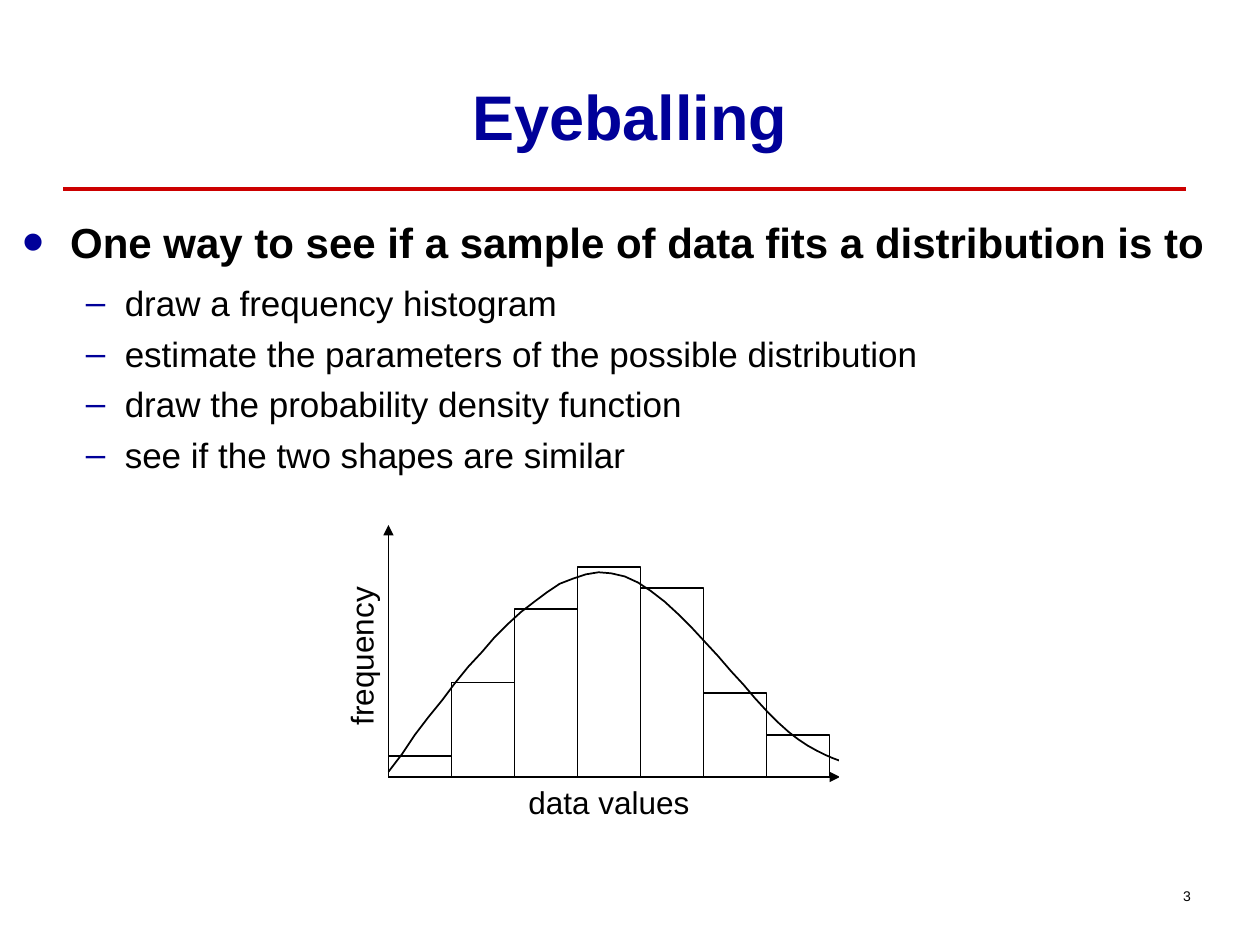
import pptx
import pptx.dml.color
import pptx.enum.shapes
import pptx.enum.text
import pptx.oxml.ns
import pptx.util
import lxml.etree

PX = 7620  # EMU per px, 120 px to the inch
FONT = "Arial"
BLACK, WHITE, NAVY, RED = "000000", "FFFFFF", "000099", "CC0000"
ALIGN = pptx.enum.text.PP_ALIGN
ANCHOR = pptx.enum.text.MSO_ANCHOR


def emu(*lengths):
    return [pptx.util.Emu(length * PX) for length in lengths]


def rgb(color):
    return pptx.dml.color.RGBColor.from_string(color)


def add_xml(parent, tag, **attributes):
    return lxml.etree.SubElement(parent, pptx.oxml.ns.qn(tag), attributes)


def write(paragraph, text, size=18, color=BLACK, bold=False, align=ALIGN.LEFT,
          before=0, after=0):
    paragraph.alignment = align
    paragraph.space_before = pptx.util.Pt(before)
    paragraph.space_after = pptx.util.Pt(after)
    run = paragraph.add_run()
    run.text = text
    run.font.name = FONT
    run.font.size = pptx.util.Pt(size)
    run.font.bold = bold
    run.font.color.rgb = rgb(color)


def text_frame(slide, box, anchor=ANCHOR.TOP, rotation=0):
    shape = slide.shapes.add_textbox(*emu(*box))
    shape.rotation = rotation
    shape.text_frame.word_wrap = True
    shape.text_frame.vertical_anchor = anchor
    return shape.text_frame


def add_line(slide, start, end, color=BLACK, width=1, arrow=False):
    line = slide.shapes.add_connector(
        pptx.enum.shapes.MSO_CONNECTOR.STRAIGHT, *emu(*start, *end))
    line.line.color.rgb = rgb(color)
    line.line.width = pptx.util.Pt(width)
    if arrow:
        add_xml(line.line._get_or_add_ln(), "a:tailEnd", type="triangle")
    add_xml(line._element.spPr, "a:effectLst")


def outline(shape, color=BLACK, fill=None):
    shape.shadow.inherit = False
    shape.line.color.rgb = rgb(color)
    shape.line.width = pptx.util.Pt(1)
    if fill:
        shape.fill.solid()
        shape.fill.fore_color.rgb = rgb(fill)
    else:
        shape.fill.background()


def add_rect(slide, box, **colors):
    rect = slide.shapes.add_shape(
        pptx.enum.shapes.MSO_SHAPE.RECTANGLE, *emu(*box))
    outline(rect, **colors)


def set_bullet(paragraph, char, margin, hang, percent=100):
    properties = paragraph._p.get_or_add_pPr()
    properties.set("marL", str(margin * PX))
    properties.set("indent", str(-hang * PX))
    add_xml(add_xml(properties, "a:buClr"), "a:srgbClr", val=NAVY)
    add_xml(properties, "a:buSzPct", val=str(percent * 1000))
    add_xml(properties, "a:buFont", typeface=FONT)
    add_xml(properties, "a:buChar", char=char)


def title_region(slide, box):
    x, y, width, height = box
    add_line(slide, (x - 30, y + 150), (x + 1040, y + 150), color=RED, width=2)
    frame = text_frame(slide, box, anchor=ANCHOR.MIDDLE)
    write(frame.paragraphs[0], "Eyeballing", size=36, color=NAVY, bold=True,
          align=ALIGN.CENTER)


def steps_region(slide, box, lead, steps):
    frame = text_frame(slide, box)
    first = frame.paragraphs[0]
    set_bullet(first, "•", 45, 45, percent=150)
    write(first, lead, size=24, bold=True, after=6)
    for step in steps:
        paragraph = frame.add_paragraph()
        paragraph.level = 1
        set_bullet(paragraph, "–", 97, 37)
        write(paragraph, step, size=20, before=2.5, after=2.5)


def bezier(p0, p1, p2, p3, count=16):
    for i in range(1, count + 1):
        t = i / count
        u = 1 - t
        yield tuple(u**3 * a + 3 * u * u * t * b + 3 * u * t * t * c + t**3 * d
                    for a, b, c, d in zip(p0, p1, p2, p3))


def histogram_region(slide, box):
    x, y, width, height = box
    base = y + height

    # Axes
    add_line(slide, (x, base), (x, y), arrow=True)
    add_line(slide, (x, base), (x + width, base), arrow=True)

    # Bars
    bar_width = 60
    frequencies = [20, 90, 160, 200, 180, 80, 40]
    for i, frequency in enumerate(frequencies):
        add_rect(slide, (x + i * bar_width, base - frequency,
                         bar_width, frequency))

    # Axis labels
    label_height = 48
    span = bar_width * len(frequencies)
    labels = [("frequency", (x - 131, y + 101, 210, label_height), 270),
              ("data values", (x, base, span, label_height), 0)]
    for label, place, rotation in labels:
        frame = text_frame(slide, place, rotation=rotation)
        frame.auto_size = pptx.enum.text.MSO_AUTO_SIZE.SHAPE_TO_FIT_TEXT
        write(frame.paragraphs[0], label, align=ALIGN.CENTER)

    # Density curve: offsets from the origin of the axes, height upwards
    knots = [(0, 5), (68, 98), (135, 190), (200, 195), (265, 200), (342, 67),
             (390, 36), (439, 3), (470, 10), (490, 5), (510, 0), (510, 2),
             (510, 5)]
    knots = [(x + across, base - up) for across, up in knots]
    points = [point for i in range(0, len(knots) - 1, 3)
              for point in bezier(*knots[i:i + 4])]
    builder = slide.shapes.build_freeform(*knots[0], scale=PX)
    builder.add_line_segments(points, close=False)
    outline(builder.convert_to_shape())

    # White block that ends the curve at the right edge of the plot
    add_rect(slide, (x + width, base - 80, 100, 110), color=WHITE, fill=WHITE)


def number_region(slide, box, number):
    frame = text_frame(slide, box, anchor=ANCHOR.MIDDLE)
    write(frame.paragraphs[0], number, size=8, align=ALIGN.RIGHT)


def main():
    deck = pptx.Presentation()
    deck.slide_width, deck.slide_height = emu(1200, 900)
    slide = deck.slides.add_slide(deck.slide_layouts[6])
    title_region(slide, (90, 30, 1020, 160))
    steps_region(
        slide, (10, 200, 1180, 335),
        "One way to see if a sample of data fits a distribution is to",
        ["draw a frequency histogram",
         "estimate the parameters of the possible distribution",
         "draw the probability density function",
         "see if the two shapes are similar"])
    histogram_region(slide, (370, 500, 430, 240))
    number_region(slide, (896, 823, 250, 60), "3")
    deck.save("out.pptx")


if __name__ == "__main__":
    main()
